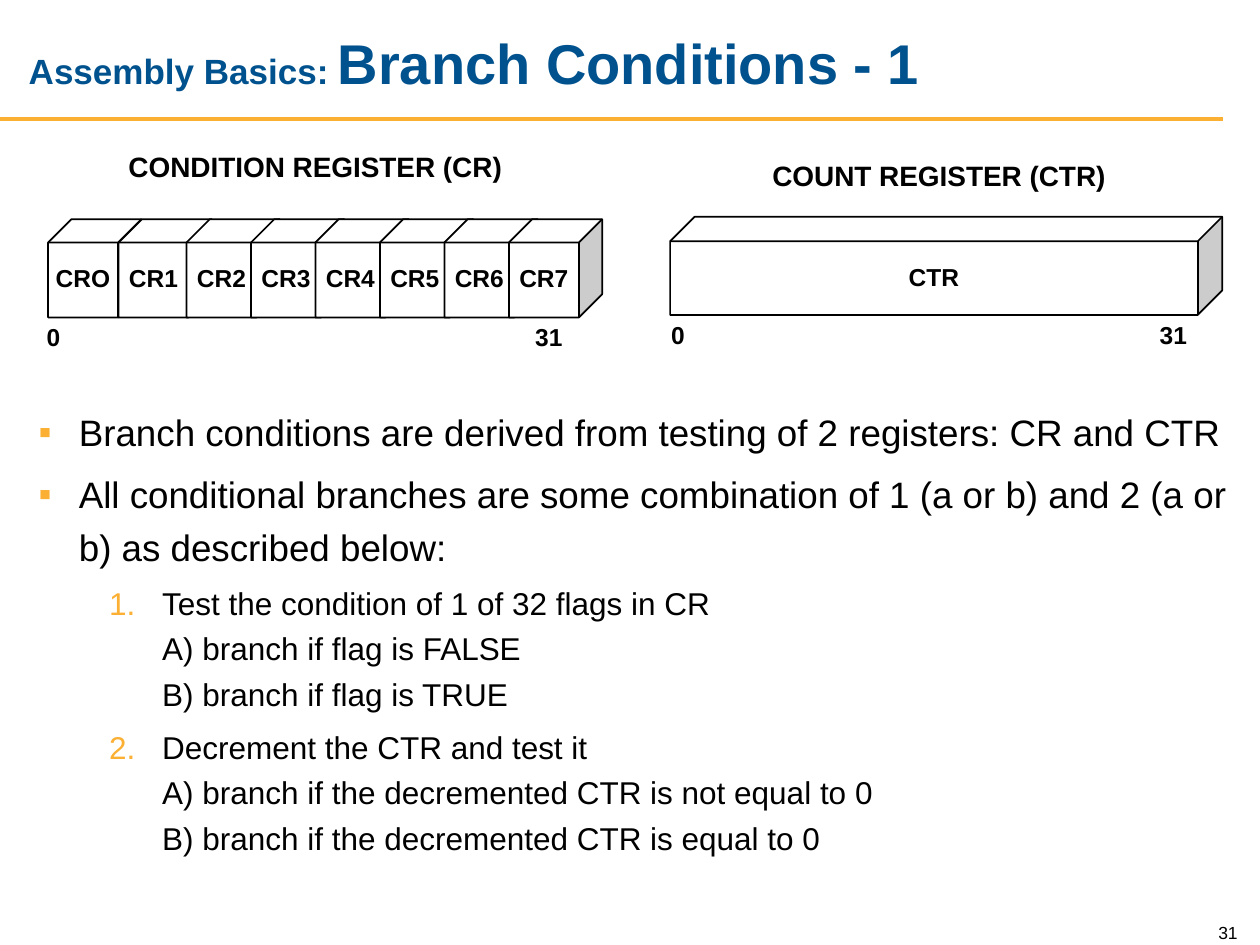
from lxml import etree
from pptx import Presentation
from pptx import util as u
from pptx.dml.color import RGBColor
from pptx.enum import shapes, text
from pptx.oxml.ns import qn

COLORS = {"title": "00528E", "accent": "FBB034", "text": "000000", "face": "FFFFFF"}
FONT = "Arial"
DEFAULT_INSETS = (0.25, 0.13)
TIGHT_INSETS = (0.18, 0.08)


def rgb(name):
    return RGBColor.from_string(COLORS[name])


def add_run(paragraph, words, size, color="text", bold=False):
    run = paragraph.add_run()
    run.text = words
    run.font.name = FONT
    run.font.size = u.Pt(size)
    run.font.bold = bold
    run.font.color.rgb = rgb(color)


def set_frame(shape, anchor=text.MSO_ANCHOR.TOP, wrap=True, insets=DEFAULT_INSETS):
    """Lay out the text frame and return its first paragraph."""
    frame = shape.text_frame
    frame.word_wrap = wrap
    frame.vertical_anchor = anchor
    frame.margin_left = frame.margin_right = u.Cm(insets[0])
    frame.margin_top = frame.margin_bottom = u.Cm(insets[1])
    return frame.paragraphs[0]


def add_box(slide, box, **layout):
    shape = slide.shapes.add_textbox(*map(u.Cm, box))
    return shape, set_frame(shape, **layout)


def add_title(slide, box):
    _, paragraph = add_box(slide, box, anchor=text.MSO_ANCHOR.MIDDLE)
    for words, size in (("Assembly Basics:", 20), (" ", 18), ("Branch Conditions - 1", 32)):
        add_run(paragraph, words, size, "title", True)


def add_rule(slide, width, top):
    rule = slide.shapes.add_connector(
        shapes.MSO_CONNECTOR.STRAIGHT, 0, u.Cm(top), u.Cm(width), u.Cm(top))
    rule.line.color.rgb = rgb("accent")
    rule.line.width = u.Pt(2.25)
    etree.SubElement(rule._element.spPr, qn("a:effectLst"))


def add_cube(slide, box, label):
    cube = slide.shapes.add_shape(shapes.MSO_SHAPE.CUBE, *map(u.Cm, box))
    cube.shadow.inherit = False
    cube.adjustments[0] = 0.25
    cube.fill.solid()
    cube.fill.fore_color.rgb = rgb("face")
    cube.line.color.rgb = rgb("text")
    cube.line.width = u.Pt(1)
    paragraph = set_frame(cube, text.MSO_ANCHOR.MIDDLE, wrap=False)
    paragraph.alignment = text.PP_ALIGN.CENTER
    paragraph.line_spacing = 0.9
    add_run(paragraph, label, 14, bold=True)


def add_register(slide, box, heading, heading_box, fields, scale_left):
    """Draw a register; heading_box, field lefts and scale_left are relative to box."""
    left, top, width, height = box
    x, y, heading_width, heading_height = heading_box
    _, paragraph = add_box(slide, (left + x, top + y, heading_width, heading_height),
                           wrap=False, insets=TIGHT_INSETS)
    paragraph.line_spacing = 0.9
    add_run(paragraph, heading, 16, bold=True)

    for label, offset, field_width in fields:
        add_cube(slide, (left + offset, top, field_width, height), label)

    _, paragraph = add_box(slide, (left + scale_left, top + height + 0.03, 11.68, 0.79))
    paragraph.line_spacing = 0.9
    tabs = etree.SubElement(paragraph._p.get_or_add_pPr(), qn("a:tabLst"))
    etree.SubElement(tabs, qn("a:tab"), pos=str(u.Cm(10.4)), algn="r")
    add_run(paragraph, "0\t31", 14, bold=True)


def set_bullet(paragraph, margin, hanging, tag, **attributes):
    properties = paragraph._p.get_or_add_pPr()
    properties.set("marL", str(u.Cm(margin)))
    properties.set("indent", str(-u.Cm(hanging)))
    color = etree.SubElement(properties, qn("a:buClr"))
    etree.SubElement(color, qn("a:srgbClr"), val=COLORS["accent"])
    etree.SubElement(properties, qn("a:buFont"), typeface=FONT)
    etree.SubElement(properties, qn(tag), **attributes)


def add_body(slide, box, items):
    """Each item is a level and its lines, parted by line breaks."""
    shape, paragraph = add_box(slide, box)
    for index, (level, lines) in enumerate(items):
        if index:
            paragraph = shape.text_frame.add_paragraph()
            paragraph.space_before = u.Pt(4.5 if level else 5.2)
        paragraph.level = level
        paragraph.line_spacing = 1.2
        if level:
            set_bullet(paragraph, 2.49, 1.07, "a:buAutoNum", type="arabicPeriod")
        else:
            set_bullet(paragraph, 0.81, 0.81, "a:buChar", char="▪")
        for number, line in enumerate(lines):
            if number:
                paragraph.add_line_break()
            add_run(paragraph, line, 18 if level else 21)


def add_page_number(slide, box, number):
    _, paragraph = add_box(slide, box, anchor=text.MSO_ANCHOR.BOTTOM)
    paragraph.alignment = text.PP_ALIGN.RIGHT
    add_run(paragraph, number, 10)


def main():
    presentation = Presentation()
    presentation.slide_width = u.Cm(25.4)
    presentation.slide_height = u.Cm(19.05)
    slide = presentation.slides.add_slide(presentation.slide_layouts[6])

    add_rule(slide, 24.66, 2.39)
    add_page_number(slide, (23.93, 18.39, 1.27, 0.76), "31")
    add_title(slide, (0.33, 0.3, 22.86, 1.9))
    add_body(slide, (0.53, 7.95, 24.84, 10.03), [
        (0, ["Branch conditions are derived from testing of 2 registers: CR and CTR"]),
        (0, ["All conditional branches are some combination of 1 (a or b) and 2 (a or b)"
             " as described below:"]),
        (1, ["Test the condition of 1 of 32 flags in CR",
             "A) branch if flag is FALSE",
             "B) branch if flag is TRUE"]),
        (1, ["Decrement the CTR and test it",
             "A) branch if the decremented CTR is not equal to 0",
             "B) branch if the decremented CTR is equal to 0"]),
    ])

    field_lefts = [0, 1.42] + [2.79 + 1.3 * i for i in range(6)]
    labels = ["CRO"] + [f"CR{i}" for i in range(1, 8)]
    condition_fields = [(label, left, 1.88) for label, left in zip(labels, field_lefts)]
    add_register(slide, (0.97, 4.42, 11.15, 1.98), "CONDITION REGISTER (CR)",
                 (1.44, -1.4, 7.9, 0.76), condition_fields, -0.28)
    add_register(slide, (13.51, 4.37, 11.13, 1.98), "COUNT REGISTER (CTR)",
                 (1.88, -1.17, 7.09, 0.76), [("CTR", 0, 11.13)], -0.23)

    presentation.save("out.pptx")


if __name__ == "__main__":
    main()
